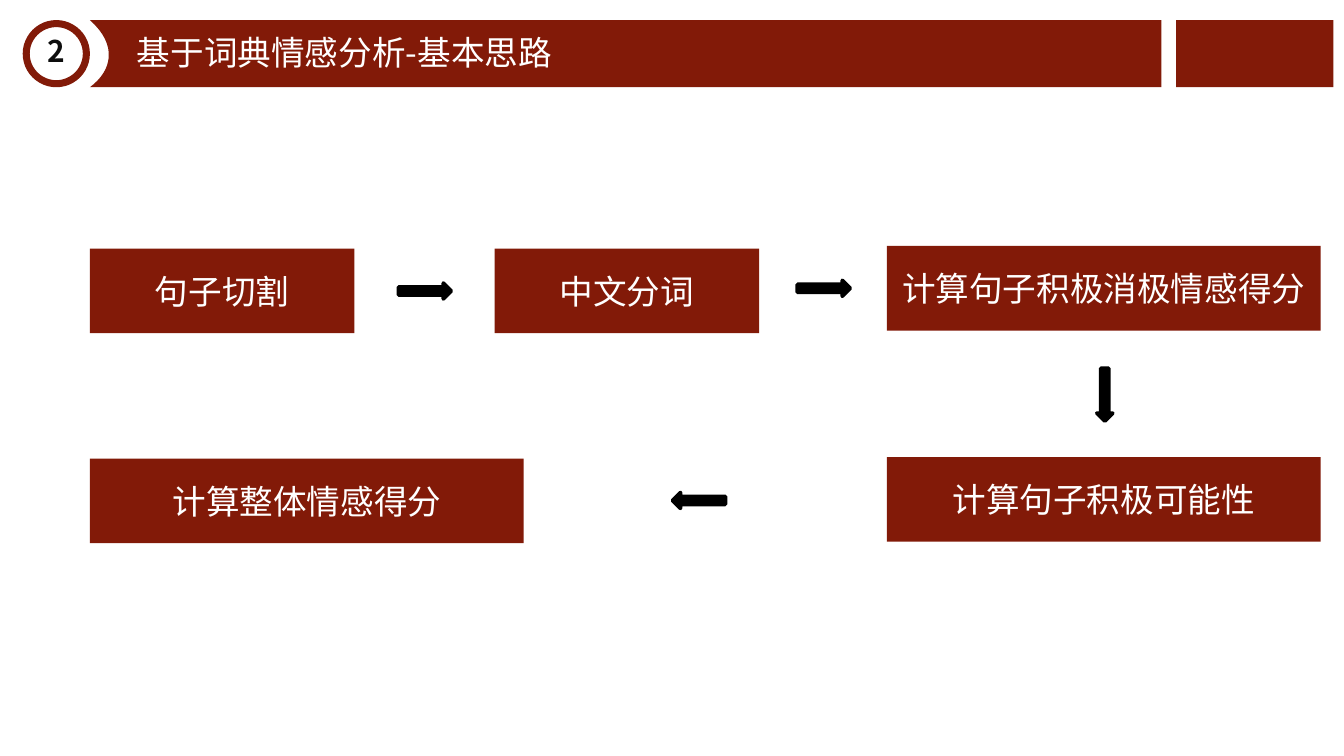
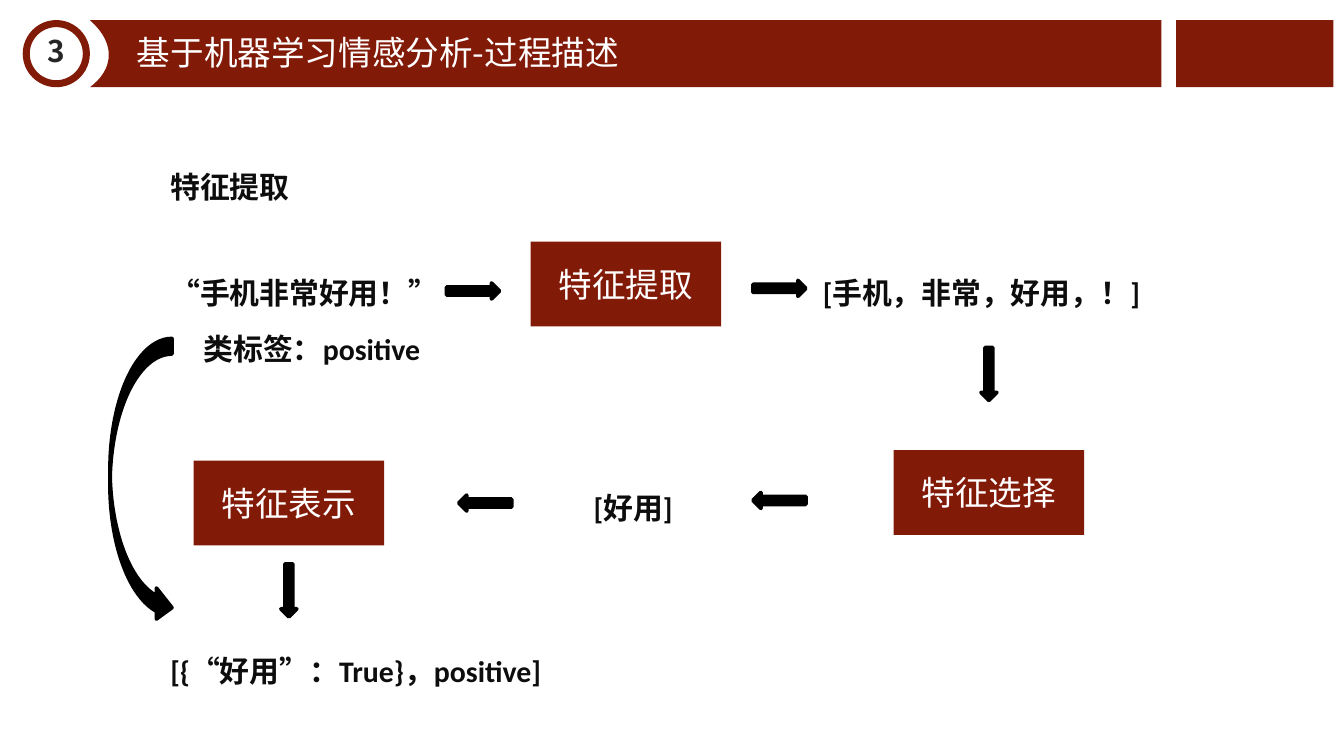
from dataclasses import dataclass
from typing import NamedTuple

from pptx import Presentation
from pptx.dml.color import RGBColor as RGB
from pptx.enum.shapes import MSO_SHAPE as Form
from pptx.enum.text import MSO_ANCHOR as Anchor, PP_ALIGN as Align
from pptx.oxml.ns import qn
from pptx.util import Cm, Pt


@dataclass(frozen=True)
class Theme:
    red: RGB = RGB(0x82, 0x1A, 0x08)
    white: RGB = RGB(0xFF, 0xFF, 0xFF)
    black: RGB = RGB(0, 0, 0)
    ink: RGB = RGB(0x0D, 0x0D, 0x0D)
    gray: RGB = RGB(0x26, 0x26, 0x26)
    sans: str = "Noto Sans CJK SC"
    latin: str = "Calibri"
    large: int = 18
    small: int = 16


THEME = Theme()
LABEL = {"name": THEME.sans, "size": Pt(THEME.large), "bold": False}
BADGE = {"name": THEME.sans, "size": Pt(THEME.small), "bold": True}
NOTE = {"name": THEME.latin, "size": Pt(THEME.small), "bold": True}

# Header and step measures, in cm
TOP, BAR = 0.38, 1.27
LEFT, RIGHT = 1.7, 21.95
BEND = ((LEFT, TOP + BAR), (2.11, 1.35), (2.24, 0.86), (LEFT, TOP))
STEPS = 16
TALL = 1.6
THIN, LONG = 0.3, 1.0
EAST, SOUTH, WEST = 270, 0, 90


class Box(NamedTuple):
    text: str
    x: float
    y: float
    w: float


class Arrow(NamedTuple):
    x: float  # centre
    y: float
    turn: int


class Note(NamedTuple):
    text: str
    x: float
    mid: float
    w: float


@dataclass(frozen=True)
class Page:
    num: str
    tint: RGB
    title: str
    boxes: tuple
    arrows: tuple
    notes: tuple = ()
    loop: tuple = ()


WIDE, MID, SLIM = 8.2, 5.0, 3.6
PAGES = (
    Page(
        "2", THEME.ink, "基于词典情感分析-基本思路",
        boxes=(
            Box("句子切割", 1.7, 4.7, MID),
            Box("中文分词", 9.35, 4.7, MID),
            Box("计算句子积极消极情感得分", 16.76, 4.65, WIDE),
            Box("计算句子积极可能性", 16.76, 8.64, WIDE),
            Box("计算整体情感得分", 1.7, 8.67, WIDE),
        ),
        arrows=(
            Arrow(8.03, 5.5, EAST),
            Arrow(15.57, 5.45, EAST),
            Arrow(20.88, 7.46, SOUTH),
            Arrow(13.21, 9.46, WEST),
        ),
    ),
    Page(
        "3", THEME.gray, "基于机器学习情感分析-过程描述",
        boxes=(
            Box("特征提取", 10.03, 4.57, SLIM),
            Box("特征选择", 16.89, 8.51, SLIM),
            Box("特征表示", 3.66, 8.71, SLIM),
        ),
        arrows=(
            Arrow(8.94, 5.5, EAST),
            Arrow(14.73, 5.45, EAST),
            Arrow(18.69, 7.07, SOUTH),
            Arrow(14.73, 9.46, WEST),
            Arrow(9.17, 9.51, WEST),
            Arrow(5.46, 11.16, SOUTH),
        ),
        notes=(
            Note("特征提取", 2.97, 3.52, 5),
            Note("“手机非常好用！”", 2.97, 5.54, 5.6),
            Note("[手机，非常，好用，！]", 15.3, 5.54, 8),
            Note("类标签：positive", 3.6, 6.58, 5.5),
            Note("[好用]", 10.97, 9.6, 3),
            Note("[{“好用”：True}，positive]", 2.97, 12.68, 10),
        ),
        loop=(2.08, 6.4, 1.17, 5.38),
    ),
)


def place(*nums: float) -> list:
    return [Cm(n) for n in nums]


def write(shape, text: str, style: dict, tint: RGB, align=Align.LEFT,
          space: float = 1.0) -> None:
    frame = shape.text_frame
    for key, val in {"word_wrap": True, "vertical_anchor": Anchor.MIDDLE}.items():
        setattr(frame, key, val)
    para = frame.paragraphs[0]
    para.alignment = align
    para.line_spacing = space
    run = para.add_run()
    run.text = text
    for key, val in style.items():
        setattr(run.font, key, val)
    run.font.color.rgb = tint
    # East Asian face, kept after the Latin one
    east = run.font._element.makeelement(qn("a:ea"), {"typeface": THEME.sans})
    run.font._element.append(east)


def paint(shape, fill: RGB, line: bool = False) -> None:
    shape.shadow.inherit = False
    shape.fill.solid()
    shape.fill.fore_color.rgb = fill
    if line:
        shape.line.color.rgb = fill
        shape.line.width = Pt(2)
    else:
        shape.line.fill.background()


def draw(slide, form, area: tuple, fill: RGB, line: bool = False):
    shape = slide.shapes.add_shape(form, *place(*area))
    paint(shape, fill, line)
    return shape


def add_text(slide, area: tuple, text: str, style: dict, tint: RGB) -> None:
    write(slide.shapes.add_textbox(*place(*area)), text, style, tint)


def curve(t: float) -> tuple:
    """Point on the cubic bend at the left end of the title band."""
    parts = ((1 - t) ** 3, 3 * t * (1 - t) ** 2, 3 * t * t * (1 - t), t ** 3)
    x, y = (sum(k * p[i] for k, p in zip(parts, BEND)) for i in (0, 1))
    return Cm(x), Cm(y)


def add_head(slide, page: Page) -> None:
    # Number ring
    ring = draw(slide, Form.DONUT, (0.43, TOP, BAR, BAR), THEME.red)
    ring.adjustments[0] = 0.105
    write(ring, page.num, BADGE, page.tint, Align.CENTER, 0.8)
    # Title band with a bent left edge
    path = slide.shapes.build_freeform(Cm(LEFT), Cm(TOP))
    ends = [tuple(place(RIGHT, y)) for y in (TOP, TOP + BAR)]
    path.add_line_segments(ends + [curve(i / STEPS) for i in range(STEPS + 1)])
    paint(path.convert_to_shape(), THEME.red)
    # End tab and title
    draw(slide, Form.RECTANGLE, (22.23, TOP, 2.97, BAR), THEME.red)
    add_text(slide, (2.34, 0.48, 19.05, 1.02), page.title, LABEL, THEME.white)


def add_box(slide, box: Box) -> None:
    shape = draw(slide, Form.RECTANGLE, (box.x, box.y, box.w, TALL), THEME.red)
    write(shape, box.text, LABEL, THEME.white, Align.CENTER)


def add_arrow(slide, arrow: Arrow) -> None:
    area = (arrow.x - THIN / 2, arrow.y - LONG / 2, THIN, LONG)
    shape = draw(slide, Form.DOWN_ARROW, area, THEME.black, True)
    shape.rotation = arrow.turn


def add_note(slide, note: Note) -> None:
    area = (note.x, note.mid - 0.5, note.w, 1)
    add_text(slide, area, note.text, NOTE, THEME.ink)


def main() -> None:
    deck = Presentation()
    deck.slide_width, deck.slide_height = place(25.4, 14.29)
    for page in PAGES:
        slide = deck.slides.add_slide(deck.slide_layouts[6])
        add_head(slide, page)
        for note in page.notes:
            add_note(slide, note)
        for box in page.boxes:
            add_box(slide, box)
        for arrow in page.arrows:
            add_arrow(slide, arrow)
        if page.loop:
            draw(slide, Form.CURVED_RIGHT_ARROW, page.loop, THEME.black, True)
    deck.save("out.pptx")


if __name__ == "__main__":
    main()
